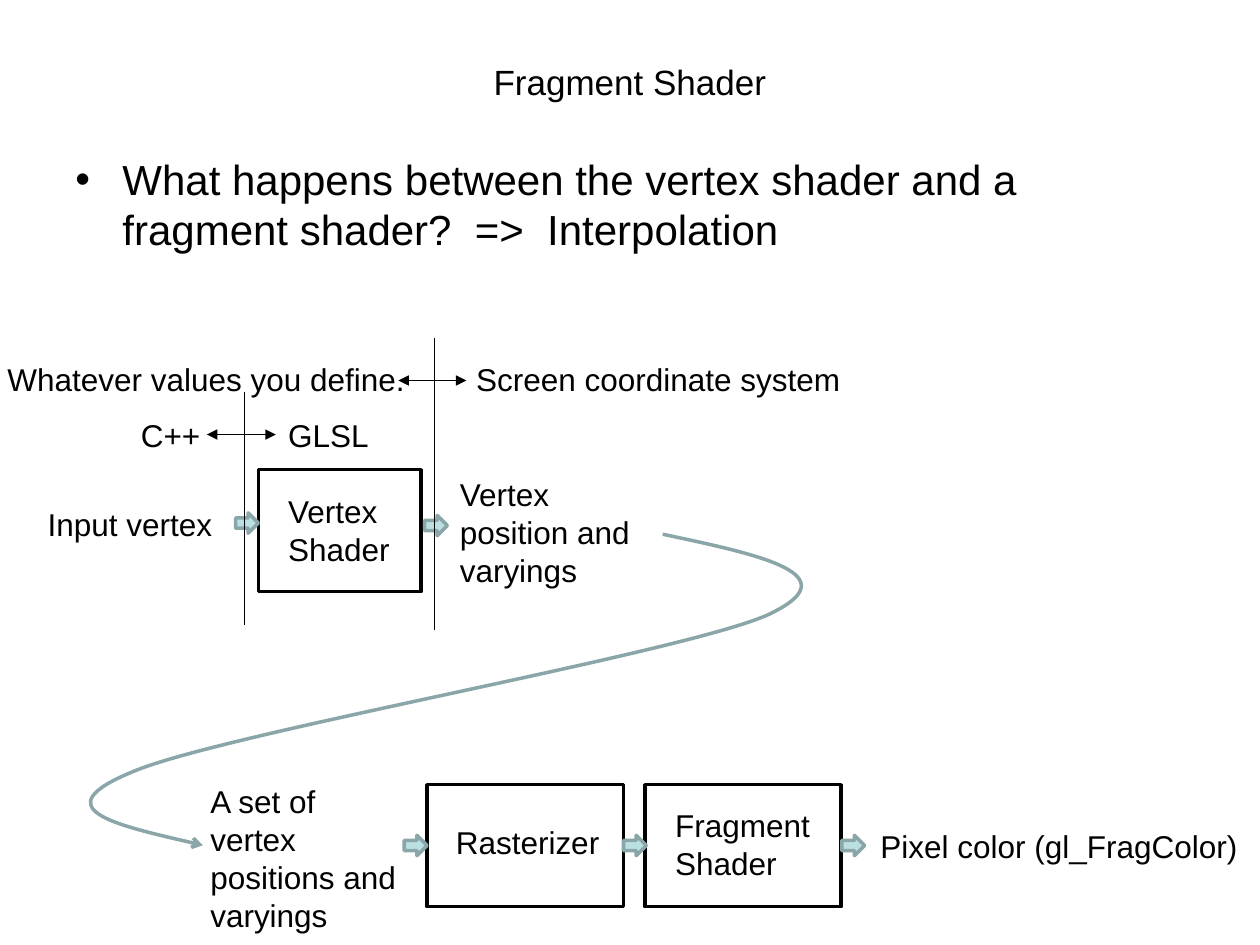
from lxml import etree
from pptx import Presentation
from pptx.dml.color import RGBColor
from pptx.enum.shapes import MSO_CONNECTOR, MSO_SHAPE
from pptx.enum.text import MSO_ANCHOR, MSO_AUTO_SIZE, PP_ALIGN
from pptx.oxml.ns import qn
from pptx.util import Cm, Pt

STRAIGHT = MSO_CONNECTOR.STRAIGHT
RECT, ARROW = MSO_SHAPE.RECTANGLE, MSO_SHAPE.RIGHT_ARROW
MIDDLE, TOP = MSO_ANCHOR.MIDDLE, MSO_ANCHOR.TOP
LEFT, CENTER = PP_ALIGN.LEFT, PP_ALIGN.CENTER
GROW, FIXED = MSO_AUTO_SIZE.SHAPE_TO_FIT_TEXT, MSO_AUTO_SIZE.NONE

THEME = {
    "font": "Arial",
    "ink": RGBColor(0x00, 0x00, 0x00),
    "arrow": RGBColor(0xBB, 0xE0, 0xE3),
    "edge": RGBColor(0x8A, 0xA6, 0xA8),
    "title": Pt(20),
    "body": Pt(24),
    "label": Pt(18),
    "thick": Pt(2),
    "thin": Pt(0.75),
}

TITLE = "Fragment Shader"
QUESTION = "What happens between the vertex shader and a fragment shader?  =>  Interpolation"

LABELS = [
    ("Input vertex", (0.71, 10.06, 3.86, 1.02), False),
    ("Vertex Shader", (5.56, 9.8, 2.59, 1.8), True),
    ("Vertex position and varyings", (9.02, 9.45, 4.22, 2.57), True),
    ("A set of vertex positions and varyings", (3.99, 15.65, 4.34, 3.33), True),
    ("Rasterizer", (8.94, 16.46, 3.48, 1.02), True),
    ("Fragment Shader", (13.36, 16.13, 3.48, 1.8), True),
    ("Pixel color (gl_FragColor)", (17.5, 16.54, 7.77, 1.02), False),
    ("C++", (2.59, 8.26, 2.51, 1.02), True),
    ("GLSL", (5.56, 8.26, 2.51, 1.02), True),
    ("Whatever values you define.", (-0.1, 7.14, 9.7, 1.02), True),
    ("Screen coordinate system", (9.35, 7.14, 9.63, 1.02), True),
]
STAGES = [(5.21, 9.47, 3.28, 2.46), (8.61, 15.82, 3.96, 2.46), (13, 15.82, 3.96, 2.46)]
FLOW_ARROWS = [(4.75, 10.34), (8.56, 10.39), (8.15, 16.84), (12.57, 16.84), (16.97, 16.84)]
ARROW_SIZE = (0.46, 0.41)
DIVIDERS = [
    {"x": 4.93, "span": (7.9, 12.6), "y": 8.76, "tips": (4.17, 5.56)},
    {"x": 8.76, "span": (6.81, 12.7), "y": 7.67, "tips": (8.03, 9.4)},
]
CURVE_BOX = (1.85, 10.77, 16.15, 17.04)
CURVE_START = (13.36, 10.77)
CURVE_SEGMENTS = [
    [(15.29, 11.18), (17.22, 11.58), (15.47, 12.4)],
    [(13.69, 13.18), (4.62, 14.76), (2.72, 15.54)],
    [(0.81, 16.31), (2.46, 16.66), (4.09, 17.04)],
]


def cms(values):
    return [Cm(v) for v in values]


def write(tf, text, size=THEME["label"], align=LEFT, anchor=TOP, wrap=True, fit=GROW):
    tf.word_wrap, tf.auto_size, tf.vertical_anchor = wrap, fit, anchor
    p = tf.paragraphs[0]
    p.alignment = align
    r = p.add_run()
    r.text = text
    r.font.name, r.font.size = THEME["font"], size
    r.font.color.rgb = THEME["ink"]
    return p


def add_bullet(p):
    pPr = p._p.get_or_add_pPr()
    pPr.set("marL", str(Cm(0.95)))
    pPr.set("indent", str(-Cm(0.95)))
    etree.SubElement(pPr, qn("a:buFont")).set("typeface", THEME["font"])
    etree.SubElement(pPr, qn("a:buChar")).set("char", "•")


def add_block(s, kind, box, color, fill=None):
    sp = s.shapes.add_shape(kind, *cms(box))
    sp.shadow.inherit = False
    if fill is None:
        sp.fill.background()
    else:
        sp.fill.solid()
        sp.fill.fore_color.rgb = fill
    sp.line.color.rgb, sp.line.width = color, THEME["thick"]


def add_head(sp, kind):
    etree.SubElement(sp.line._get_or_add_ln(), qn("a:tailEnd")).set("type", kind)


def add_line(s, start, end, head=None):
    sp = s.shapes.add_connector(STRAIGHT, *cms(start + end))
    sp.line.color.rgb, sp.line.width = THEME["ink"], THEME["thin"]
    if head:
        add_head(sp, head)
    etree.SubElement(sp._element.spPr, qn("a:effectLst"))


def add_curve(s):
    left, top, right, bottom = cms(CURVE_BOX)
    builder = s.shapes.build_freeform(left, top)
    builder.add_line_segments([(right, bottom)], close=False)
    sp = builder.convert_to_shape()
    outline = sp._element.spPr.find(".//" + qn("a:path"))
    for step in list(outline):
        outline.remove(step)
    steps = [("a:moveTo", [CURVE_START])] + [("a:cubicBezTo", seg) for seg in CURVE_SEGMENTS]
    for tag, points in steps:
        step = etree.SubElement(outline, qn(tag))
        for x, y in points:
            pt = etree.SubElement(step, qn("a:pt"))
            pt.set("x", str(Cm(x) - left))
            pt.set("y", str(Cm(y) - top))
    sp.shadow.inherit = False
    sp.fill.background()
    sp.line.color.rgb, sp.line.width = THEME["edge"], THEME["thick"]
    add_head(sp, "arrow")


def main():
    prs = Presentation()
    prs.slide_width, prs.slide_height = Cm(25.4), Cm(19.05)
    s = prs.slides.add_slide(prs.slide_layouts[5])

    title = s.shapes.title
    title.left, title.top, title.width, title.height = cms((1.27, 0.76, 22.86, 1.78))
    write(title.text_frame, TITLE, size=THEME["title"], align=CENTER, anchor=MIDDLE, fit=FIXED)

    body = s.shapes.add_textbox(*cms((1.27, 2.97, 22.86, 14.05)))
    p = write(body.text_frame, QUESTION, size=THEME["body"], fit=FIXED)
    p.space_before = Pt(4.8)
    add_bullet(p)

    for box in STAGES:
        add_block(s, RECT, box, THEME["ink"])
    for corner in FLOW_ARROWS:
        add_block(s, ARROW, corner + ARROW_SIZE, THEME["edge"], THEME["arrow"])
    add_curve(s)
    for text, box, wrap in LABELS:
        write(s.shapes.add_textbox(*cms(box)).text_frame, text, wrap=wrap)
    for d in DIVIDERS:
        x, y = d["x"], d["y"]
        add_line(s, (x, d["span"][0]), (x, d["span"][1]))
        for tip in d["tips"]:
            add_line(s, (x, y), (tip, y), head="triangle")

    prs.save("out.pptx")


if __name__ == "__main__":
    main()
